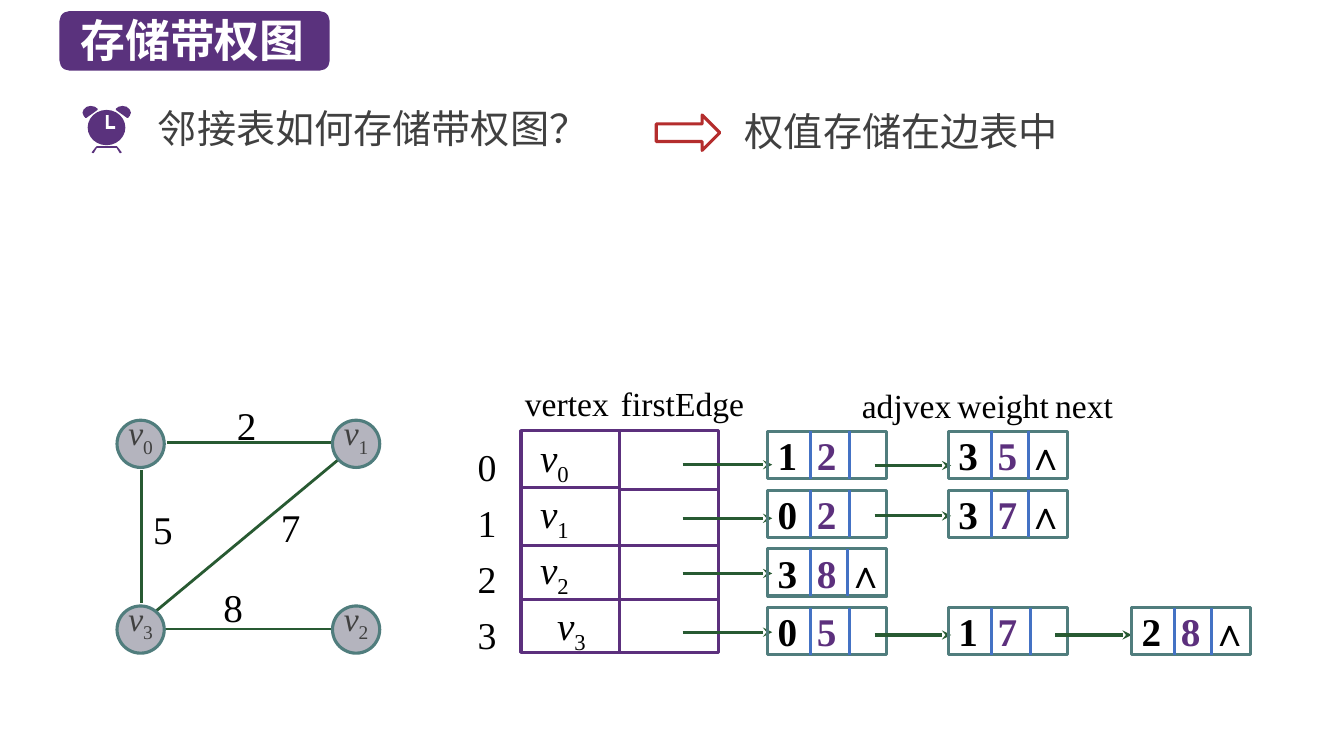
from lxml import etree
from pptx import Presentation
from pptx.dml.color import RGBColor
from pptx.enum.shapes import MSO_CONNECTOR, MSO_SHAPE
from pptx.enum.text import MSO_ANCHOR, PP_ALIGN
from pptx.oxml.ns import qn
from pptx.util import Cm, Pt

STRAIGHT = MSO_CONNECTOR.STRAIGHT
RECT, OVAL = MSO_SHAPE.RECTANGLE, MSO_SHAPE.OVAL
ROUNDED, ARROW = MSO_SHAPE.ROUNDED_RECTANGLE, MSO_SHAPE.RIGHT_ARROW
TOP, LEFT, CENTER = MSO_ANCHOR.TOP, PP_ALIGN.LEFT, PP_ALIGN.CENTER
SERIF, SANS = "Times New Roman", "Noto Sans CJK SC"
COLORS = {
    "purple": "5A327D", "violet": "5C307D", "white": "FFFFFF",
    "black": "000000", "text": "404040", "red": "B42D2D",
    "node": "B4B4BE", "teal": "507D7D", "green": "285A32", "blue": "4472C4",
}
CLOCK_AXIS = 2.69
RECORD_COLUMNS = (19.35, 23.9, 28.52)
RECORD_WIDTH, RECORD_HEIGHT = 3.0, 1.19
TABLE_TOP, TABLE_HEIGHT, COLUMN_WIDTH = 10.85, 5.59, 2.49

# One row per vertex: arrow heights, then (adjacent vertex, weight) records
EDGE_LISTS = [
    (11.71, 11.73, [(1, 2), (3, 5)]),
    (13.06, 13.0, [(0, 2), (3, 7)]),
    (14.45, None, [(3, 8)]),
    (15.93, 16.0, [(0, 5), (1, 7), (2, 8)]),
]


def rgb(name):
    return RGBColor.from_string(COLORS[name])


def style(shape, fill=None, line=None):
    shape.shadow.inherit = False
    if fill:
        shape.fill.solid()
        shape.fill.fore_color.rgb = rgb(fill)
    else:
        shape.fill.background()
    if line:
        shape.line.color.rgb = rgb(line)
        shape.line.width = Pt(2.25)
    else:
        shape.line.fill.background()
    return shape


def add_block(page, kind, left, top, width, height, fill=None, line=None):
    shape = page.shapes.add_shape(kind, Cm(left), Cm(top), Cm(width), Cm(height))
    return style(shape, fill, line)


def add_outline(page, points, fill):
    points = [(Cm(x), Cm(y)) for x, y in points]
    builder = page.shapes.build_freeform(*points[0])
    builder.add_line_segments(points[1:], close=True)
    style(builder.convert_to_shape(), fill)


def add_line(page, start, end, color, width=2.25, arrow=False):
    line = page.shapes.add_connector(
        STRAIGHT, Cm(start[0]), Cm(start[1]), Cm(end[0]), Cm(end[1]))
    line.line.color.rgb = rgb(color)
    line.line.width = Pt(width)
    if arrow:
        outline = line.line._get_or_add_ln()
        etree.SubElement(outline, qn("a:tailEnd"), type="stealth")
    etree.SubElement(line._element.spPr, qn("a:effectLst"))


def set_frame(shape, side=0.0, edge=0.0, wrap=True):
    frame = shape.text_frame
    frame.word_wrap = wrap
    frame.vertical_anchor = TOP
    frame.margin_left = frame.margin_right = Cm(side)
    frame.margin_top = frame.margin_bottom = Cm(edge)
    return frame


def set_font(para, size, color, bold=False, latin=SERIF):
    para.font.size = Pt(size)
    para.font.bold = bold
    para.font.color.rgb = rgb(color)
    para.font.name = latin
    defaults = para._p.pPr.find(qn("a:defRPr"))
    etree.SubElement(defaults, qn("a:ea"), typeface=SANS)


def add_label(page, text, left, top, width, height, size, color="black",
              side=0.25, bold=False, latin=SERIF):
    box = page.shapes.add_textbox(Cm(left), Cm(top), Cm(width), Cm(height))
    para = set_frame(box, side, 0.13).paragraphs[0]
    para.text = text
    set_font(para, size, color, bold, latin)


def write_vertex(para, number, size, color, spacing):
    para.line_spacing = Pt(spacing)
    set_font(para, size, color)
    letter = para.add_run()
    letter.text = "v"
    letter.font.italic = True
    index = para.add_run()
    index.text = str(number)
    index._r.get_or_add_rPr().set("baseline", "-25000")


def add_clock(page):
    def mirror(points):
        return [(2 * CLOCK_AXIS - x, y) for x, y in reversed(points)]

    bell = [(2.46, 2.74), (2.39, 2.69), (2.29, 2.67), (2.19, 2.69), (2.11, 2.76),
            (2.08, 2.84), (2.11, 2.92), (2.15, 2.97), (2.18, 2.97), (2.46, 2.77)]
    leg = [(2.44, 3.73), (2.36, 3.86), (2.34, 3.86), (2.31, 3.84),
           (2.41, 3.71), (2.44, 3.68)]
    hands = [(2.67, 2.9), (2.74, 2.9), (2.74, 3.18), (2.9, 3.18),
             (2.9, 3.25), (2.67, 3.25)]
    for points in (leg + mirror(leg), bell, mirror(bell)):
        add_outline(page, points, "purple")
    add_block(page, OVAL, 2.21, 2.77, 0.95, 0.89, "purple")
    add_outline(page, hands, "white")


def add_graph(page):
    edges = [((4.22, 11.15), (8.41, 11.15)), ((3.56, 11.84), (3.56, 15.19)),
             ((8.53, 11.58), (3.94, 15.39)), ((4.17, 15.85), (8.36, 15.85))]
    for start, end in edges:
        add_line(page, start, end, "green", 2)
    nodes = [(2.95, 10.59), (8.38, 10.59), (8.38, 15.27), (2.95, 15.27)]
    for number, (left, top) in enumerate(nodes):
        node = add_block(page, OVAL, left, top, 1.19, 1.19, "node", "teal")
        para = set_frame(node, wrap=False).paragraphs[0]
        para.alignment = CENTER
        write_vertex(para, number, 24, "text", 22)
    weights = [("2", 5.72, 9.98), ("7", 6.83, 12.55),
               ("8", 5.38, 14.58), ("5", 3.61, 12.6)]
    for weight, left, top in weights:
        add_label(page, weight, left, top, 1.68, 1.45, 28)


def add_vertex_table(page):
    columns = [(13.13, (12.29, 13.74, 15.11)), (15.62, (12.34, 13.74, 15.11))]
    blocks = []
    for left, rules in columns:
        blocks.append(add_block(page, RECT, left, TABLE_TOP, COLUMN_WIDTH,
                                TABLE_HEIGHT, line="violet"))
        for y in rules:
            add_line(page, (left, y), (left + COLUMN_WIDTH, y), "violet")
    indices = page.shapes.add_textbox(Cm(12.04), Cm(10.92), Cm(1.09), Cm(4.98))
    index_frame, name_frame = set_frame(indices), set_frame(blocks[0], 0.25)
    for number, indent in enumerate((0.23, 0.23, 0.23, 0.66)):
        if number:
            index_frame.add_paragraph()
            name_frame.add_paragraph()
        para = index_frame.paragraphs[-1]
        para.text = str(number)
        para.line_spacing = Pt(40)
        set_font(para, 27, "black")
        para = name_frame.paragraphs[-1]
        para.alignment = LEFT
        para._p.get_or_add_pPr().set("marL", str(Cm(indent)))
        write_vertex(para, number, 28, "black", 40)


def add_record(page, left, top, vertex, weight, last):
    record = add_block(page, RECT, left, top, RECORD_WIDTH, RECORD_HEIGHT, line="teal")
    for offset in (1.08, 2.01 if last else 2.06):
        add_line(page, (left + offset, top), (left + offset, top + RECORD_HEIGHT), "blue")
    frame = set_frame(record, 0.25)
    frame.margin_right = Cm(0)
    para = frame.paragraphs[0]
    para.alignment = LEFT
    tabs = etree.SubElement(para._p.get_or_add_pPr(), qn("a:tabLst"))
    for stop in (0.99, 1.73):
        etree.SubElement(tabs, qn("a:tab"), pos=str(Cm(stop)), algn="l")
    set_font(para, 28, "black", bold=True)
    spans = [(str(vertex), "black"), (f"\t{weight}", "violet")]
    if last:
        spans.append(("\t∧", "black"))
    for text, color in spans:
        span = para.add_run()
        span.text = text
        span.font.color.rgb = rgb(color)


def add_edge_lists(page):
    for row, (first_y, next_y, records) in enumerate(EDGE_LISTS):
        add_line(page, (17.2, first_y), (19.46, first_y), "green", arrow=True)
        for column, (vertex, weight) in enumerate(records):
            left = RECORD_COLUMNS[column]
            last = column == len(records) - 1
            add_record(page, left, 10.87 + 1.48 * row, vertex, weight, last)
            if not last:
                add_line(page, (left + 2.69, next_y), (left + 4.62, next_y),
                         "green", arrow=True)


def main():
    deck = Presentation()
    deck.slide_width, deck.slide_height = Cm(33.87), Cm(19.05)
    page = deck.slides.add_slide(deck.slide_layouts[6])

    # Title, question and answer
    add_block(page, ROUNDED, 1.5, 0.28, 6.81, 1.5, "purple")
    add_label(page, "存储带权图", 1.78, 0.18, 6.22, 1.63, 32, "white", bold=True, latin=SANS)
    add_label(page, "邻接表如何存储带权图？", 3.73, 2.49, 12.42, 1.45, 28, "text")
    add_clock(page)
    add_label(page, "权值存储在边表中", 18.52, 2.57, 14, 1.45, 28, "text")
    add_block(page, ARROW, 16.54, 2.9, 1.6, 0.89, line="red")

    # Weighted graph and its adjacency list
    add_graph(page)
    add_vertex_table(page)
    add_edge_lists(page)

    # Field names
    fields = [("vertex", 13.23, 9.53), ("firstEdge", 15.65, 9.53),
              ("adjvex", 21.72, 9.58), ("weight", 24.13, 9.58), ("next", 26.59, 9.58)]
    for name, left, top in fields:
        add_label(page, name, left, top, 3.23, 1.27, 24, side=0)

    deck.save("out.pptx")


if __name__ == "__main__":
    main()
